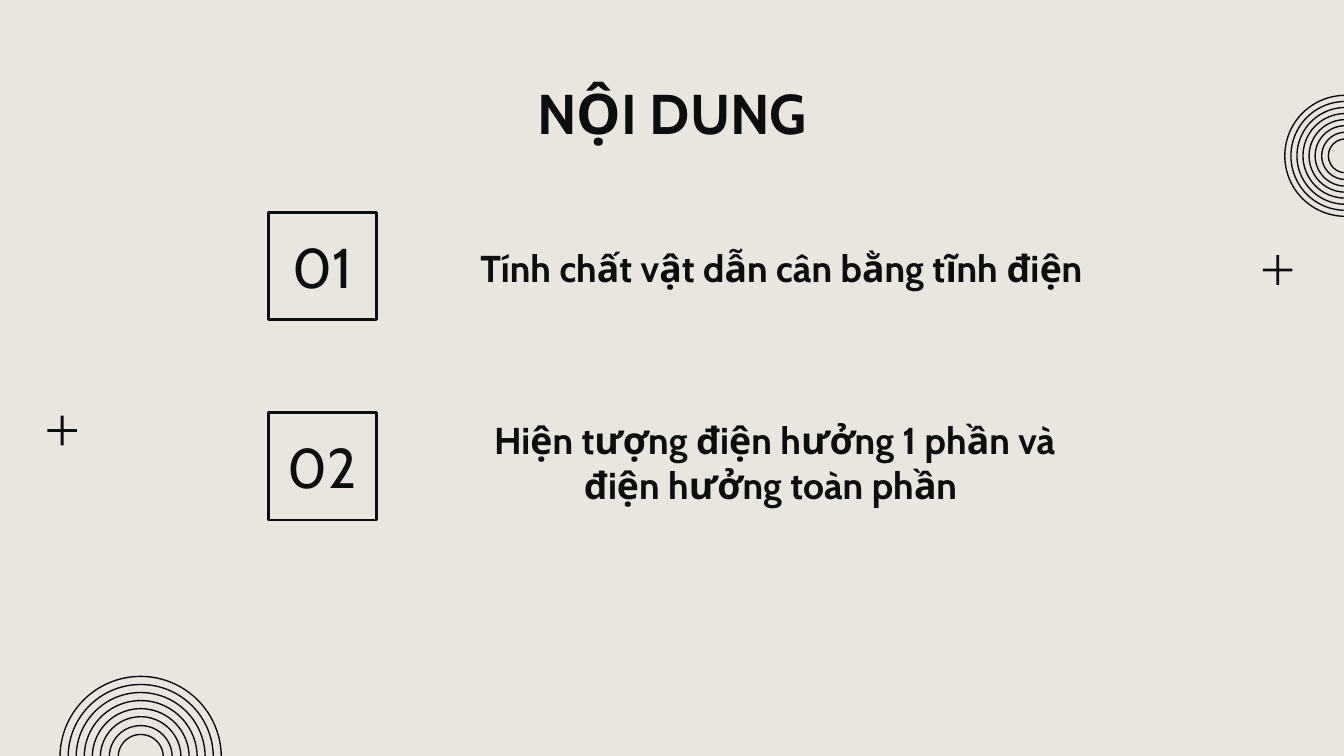
from pptx import Presentation
from pptx import util as u
from pptx.dml.color import RGBColor
from pptx.enum import shapes, text
from pptx.oxml.xmlchemy import OxmlElement

COLORS = {"ink": "0D0D0D", "paper": "E9E5DF"}
FONT = "Cabin"
WIDTH = u.Inches(10)
HEIGHT = WIDTH * 9 // 16
CELL = WIDTH / 100
RING_SHARES = (1, 0.9, 0.8, 0.7, 0.6, 0.5, 0.39, 0.28)
FIRST_ROW, ROW_STEP = 15.8, 14.9
TOPICS = (
    ("01", "Tính chất vật dẫn cân bằng tĩnh điện", (24, 17.3, 68.3, 5.3)),
    ("02", "Hiện tượng điện hưởng 1 phần và điện hưởng toàn phần ", (35.3, 33.43, 44.7, 5.3)),
)


def color(name):
    return RGBColor.from_string(COLORS[name])


def grid(*cells):
    return [round(cell * CELL) for cell in cells]


def write(box, words, size, bold, anchor):
    frame = box.text_frame
    frame.word_wrap = True
    frame.auto_size = text.MSO_AUTO_SIZE.NONE
    frame.vertical_anchor = anchor
    frame.margin_left = frame.margin_right = u.Inches(0.1)
    frame.margin_top = frame.margin_bottom = u.Inches(0.1)
    frame.text = words
    para = frame.paragraphs[0]
    para.alignment = text.PP_ALIGN.CENTER
    para.space_before = u.Pt(0)
    para.font.name = FONT
    para.font.size = u.Pt(size)
    para.font.bold = bold
    para.font.color.rgb = color("ink")
    return para


def fill_placeholder(box, area, words, size, anchor):
    box.left, box.top, box.width, box.height = grid(*area)
    return write(box, words, size, True, anchor)


def remove_bullet(para):
    properties = para._p.get_or_add_pPr()
    properties.set("marL", "0")
    properties.set("indent", "0")
    properties.insert_element_before(OxmlElement("a:buNone"), "a:tabLst", "a:defRPr", "a:extLst")


def add_outline(slide, kind, area, weight):
    shape = slide.shapes.add_shape(kind, *grid(*area))
    shape.shadow.inherit = False
    shape.fill.background()
    shape.line.color.rgb = color("ink")
    shape.line.width = u.Pt(weight)
    return shape


def add_rings(slide, center_x, center_y, diameter):
    for share in RING_SHARES:
        size = diameter * share
        area = (center_x - size / 2, center_y - size / 2, size, size)
        add_outline(slide, shapes.MSO_SHAPE.OVAL, area, 0.75)


def add_plus(slide, left, top):
    plus = slide.shapes.add_shape(shapes.MSO_SHAPE.MATH_PLUS, *grid(left, top, 3, 3))
    plus.adjustments[0] = 0.07
    plus.shadow.inherit = False
    plus.fill.solid()
    plus.fill.fore_color.rgb = color("ink")
    plus.line.fill.background()


def add_number(slide, row, number):
    area = (20, FIRST_ROW + row * ROW_STEP, 8, 8)
    square = add_outline(slide, shapes.MSO_SHAPE.RECTANGLE, area, 1.5)
    write(square, number, 30, False, text.MSO_ANCHOR.MIDDLE)


def main():
    deck = Presentation()
    deck.slide_width, deck.slide_height = WIDTH, HEIGHT
    slide = deck.slides.add_slide(deck.slide_layouts.get_by_name("Two Content"))
    slide.background.fill.solid()
    slide.background.fill.fore_color.rgb = color("paper")

    add_rings(slide, 10.47, 56.33, 12)
    add_rings(slide, 100.1, 11.6, 9)
    add_plus(slide, 93.57, 18.6)
    add_plus(slide, 3.13, 30.54)

    title, *bodies = slide.placeholders
    fill_placeholder(title, (7.87, 4.86, 84.3, 6.3), "NỘI DUNG", 30, text.MSO_ANCHOR.TOP)
    for row, (body, (number, topic, area)) in enumerate(zip(bodies, TOPICS)):
        add_number(slide, row, number)
        para = fill_placeholder(body, area, topic, 20, text.MSO_ANCHOR.BOTTOM)
        remove_bullet(para)

    deck.save("out.pptx")


if __name__ == "__main__":
    main()
